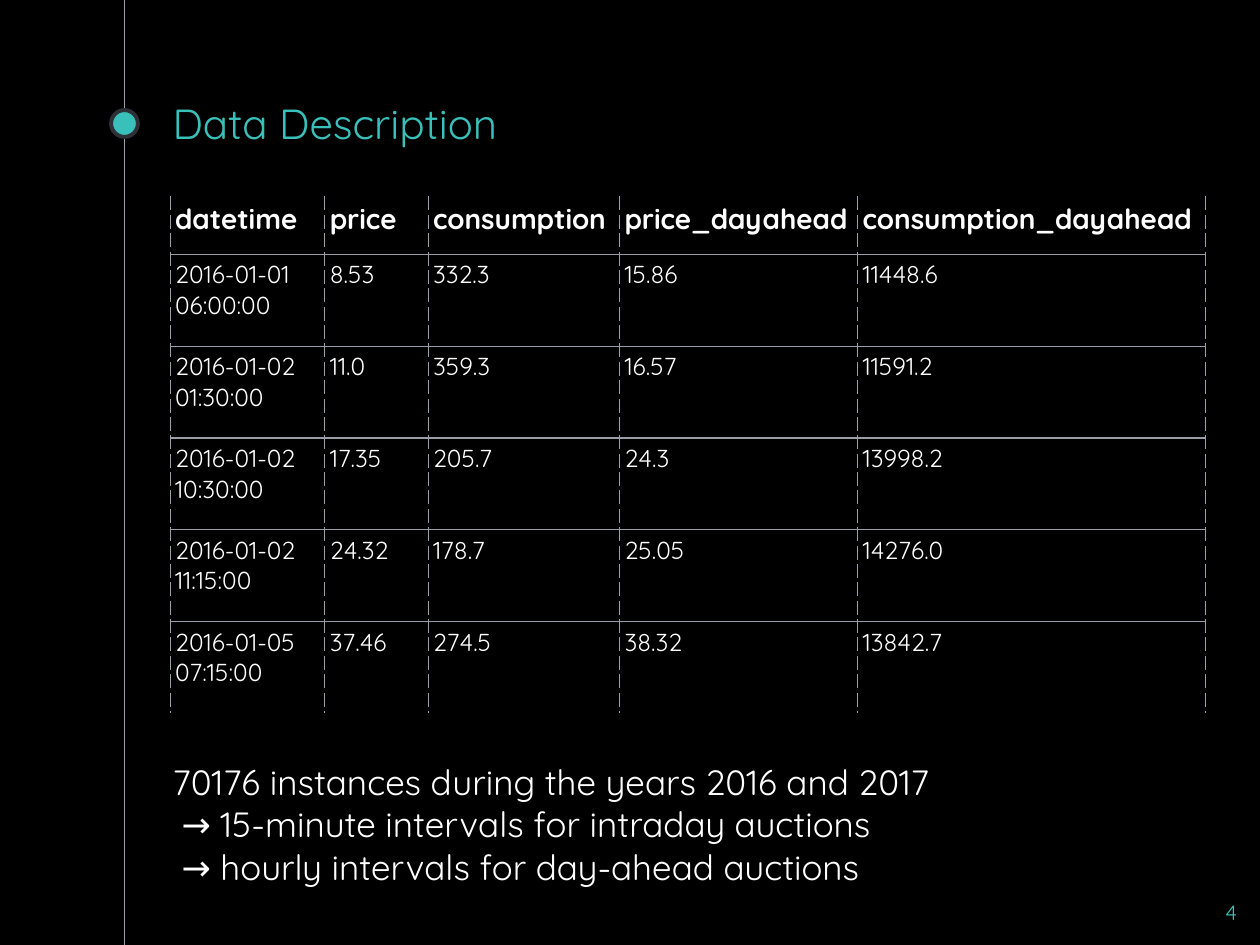
from dataclasses import dataclass

import pptx
import pptx.dml.color
import pptx.enum.shapes
import pptx.enum.text
import pptx.oxml
import pptx.oxml.ns
import pptx.util
from lxml import etree

Cm = pptx.util.Cm
Pt = pptx.util.Pt
RGB = pptx.dml.color.RGBColor
Align = pptx.enum.text.PP_ALIGN
Anchor = pptx.enum.text.MSO_ANCHOR
qn = pptx.oxml.ns.qn

BLACK = RGB(0x00, 0x00, 0x00)
WHITE = RGB(0xFF, 0xFF, 0xFF)
TEAL = RGB(0x39, 0xC0, 0xBA)
GREY = RGB(0x99, 0x9F, 0xA9)
DARK = RGB(0x2E, 0x30, 0x37)
FONT = "Quicksand"


@dataclass
class Col:
    head: str
    wide: float
    vals: list[str]


@dataclass
class Block:
    lines: list[str]
    box: tuple[float, float, float, float]
    size: int
    color: RGB
    inset: float = 0.25
    align: Align = Align.LEFT
    anchor: Anchor = Anchor.TOP
    indent: float = 0


COLS = [
    Col("datetime", 3.12, ["2016-01-01 06:00:00", "2016-01-02 01:30:00",
                           "2016-01-02 10:30:00", "2016-01-02 11:15:00",
                           "2016-01-05 07:15:00"]),
    Col("price", 2.08, ["8.53", "11.0", "17.35", "24.32", "37.46"]),
    Col("consumption", 3.86, ["332.3", "359.3", "205.7", "178.7", "274.5"]),
    Col("price_dayahead", 4.8, ["15.86", "16.57", "24.3", "25.05", "38.32"]),
    Col("consumption_dayahead", 7.01,
        ["11448.6", "11591.2", "13998.2", "14276.0", "13842.7"]),
]
HEAD_H, ROW_H = 1.17, 1.85

TITLE = Block(["Data Description"], (3.23, 1.96, 19.05, 1.27), 24, TEAL,
              anchor=Anchor.BOTTOM)
NOTES = Block(["70176 instances during the years 2016 and 2017",
               "→ 15-minute intervals for intraday auctions",
               "→ hourly intervals for day-ahead auctions"],
              (3.23, 15.21, 18.47, 2.82), 20, WHITE, inset=0.13, indent=0.18)
NUMBER = Block(["4"], (23.67, 17.88, 1.52, 1.17), 12, TEAL, align=Align.RIGHT)


def put(obj, form: dict) -> None:
    for key, val in form.items():
        setattr(obj, key, val)


def style(font, size: int, color: RGB, bold: bool = False) -> None:
    put(font, {"name": FONT, "size": Pt(size), "bold": bold})
    font.color.rgb = color


def write(shape, block: Block) -> None:
    """Place a text shape and fill it with the block's lines."""
    put(shape, dict(zip(("left", "top", "width", "height"), map(Cm, block.box))))
    frame = shape.text_frame
    put(frame, {
        "text": "\n".join(block.lines), "word_wrap": True,
        "auto_size": pptx.enum.text.MSO_AUTO_SIZE.NONE,
        "vertical_anchor": block.anchor,
        "margin_left": Cm(0.25), "margin_right": Cm(0.25),
        "margin_top": Cm(block.inset), "margin_bottom": Cm(block.inset)})
    for i, para in enumerate(frame.paragraphs):
        put(para, {"alignment": block.align, "space_before": Pt(0)})
        props = para._p.get_or_add_pPr()
        props.set("marL", str(Cm(block.indent if i else 0)))
        props.set("indent", "0")
        etree.SubElement(props, qn("a:buNone"))
        style(para.runs[0].font, block.size, block.color)


def edge(cell, side: str, dash: str, show: bool = True) -> None:
    """Add one border; call in the order L, R, T, B."""
    line = etree.SubElement(cell._tc.get_or_add_tcPr(), qn("a:ln" + side),
                            w=str(Pt(0.75)))
    if not show:
        etree.SubElement(line, qn("a:noFill"))
        return
    fill = etree.SubElement(line, qn("a:solidFill"))
    etree.SubElement(fill, qn("a:srgbClr"), val=str(GREY))
    etree.SubElement(line, qn("a:prstDash"), val=dash)


def grid(slide) -> None:
    count = len(COLS[0].vals) + 1
    wide = sum(col.wide for col in COLS)
    high = HEAD_H + ROW_H * (count - 1)
    table = slide.shapes.add_table(count, len(COLS), Cm(3.43), Cm(3.96),
                                   Cm(wide), Cm(high)).table
    put(table, {"first_row": False, "horz_banding": False})
    for r, row in enumerate(table.rows):
        row.height = Cm(ROW_H if r else HEAD_H)
    for c, col in enumerate(COLS):
        table.columns[c].width = Cm(col.wide)
        for r, text in enumerate([col.head, *col.vals]):
            cell = table.cell(r, c)
            put(cell, {"text": text, "margin_left": Cm(0.1),
                       "margin_right": Cm(0.1), "margin_top": Cm(0.1),
                       "margin_bottom": Cm(0.1)})
            style(cell.text_frame.paragraphs[0].runs[0].font,
                  14 if r else 16, WHITE, bold=r == 0)
            edge(cell, "L", "dash")
            edge(cell, "R", "dash")
            edge(cell, "T", "solid", r > 0)
            edge(cell, "B", "solid", r < count - 1)
            cell.fill.background()


def rail(slide) -> None:
    """Draw the vertical line and the dot beside the title."""
    line = slide.shapes.add_connector(
        pptx.enum.shapes.MSO_CONNECTOR.STRAIGHT,
        Cm(2.51), Cm(0), Cm(2.51), Cm(19.05))
    line.line.color.rgb = GREY
    line.line.width = Pt(0.75)
    etree.SubElement(line._element.spPr, qn("a:effectLst"))
    dot = slide.shapes.add_shape(pptx.enum.shapes.MSO_SHAPE.OVAL,
                                 Cm(2.24), Cm(2.22), Cm(0.54), Cm(0.54))
    dot.shadow.inherit = False
    dot.fill.solid()
    dot.fill.fore_color.rgb = TEAL
    dot.line.color.rgb = DARK
    dot.line.width = Pt(2.25)


def main() -> None:
    deck = pptx.Presentation()
    put(deck, {"slide_width": Cm(25.4), "slide_height": Cm(19.05)})
    slide = deck.slides.add_slide(deck.slide_layouts[1])
    slide.background.fill.solid()
    slide.background.fill.fore_color.rgb = BLACK

    # Rail and table
    rail(slide)
    grid(slide)

    # Title, notes and page number
    write(slide.shapes.title, TITLE)
    write(slide.placeholders[1], NOTES)
    write(slide.shapes.add_textbox(0, 0, 0, 0), NUMBER)

    deck.save("out.pptx")


if __name__ == "__main__":
    main()
